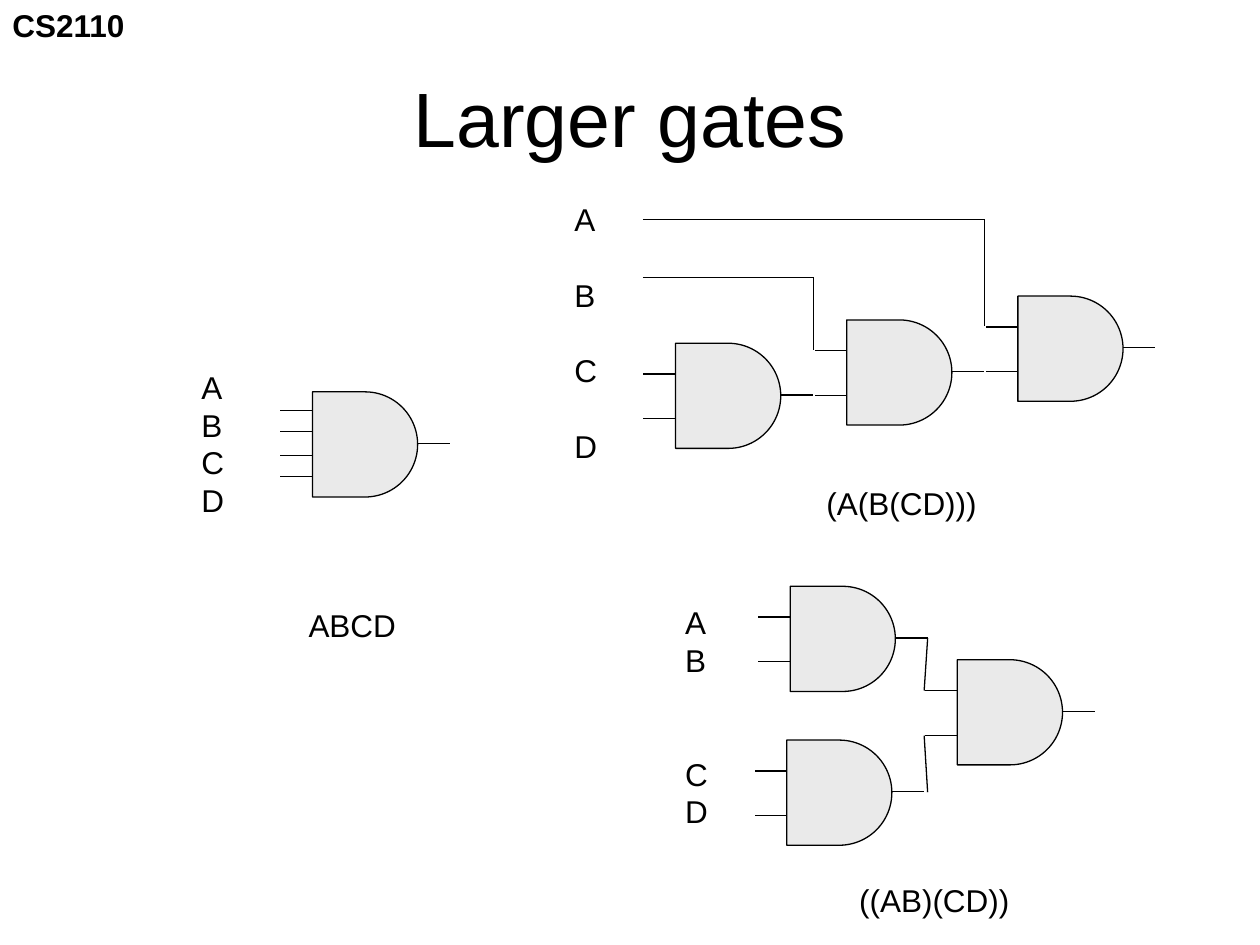
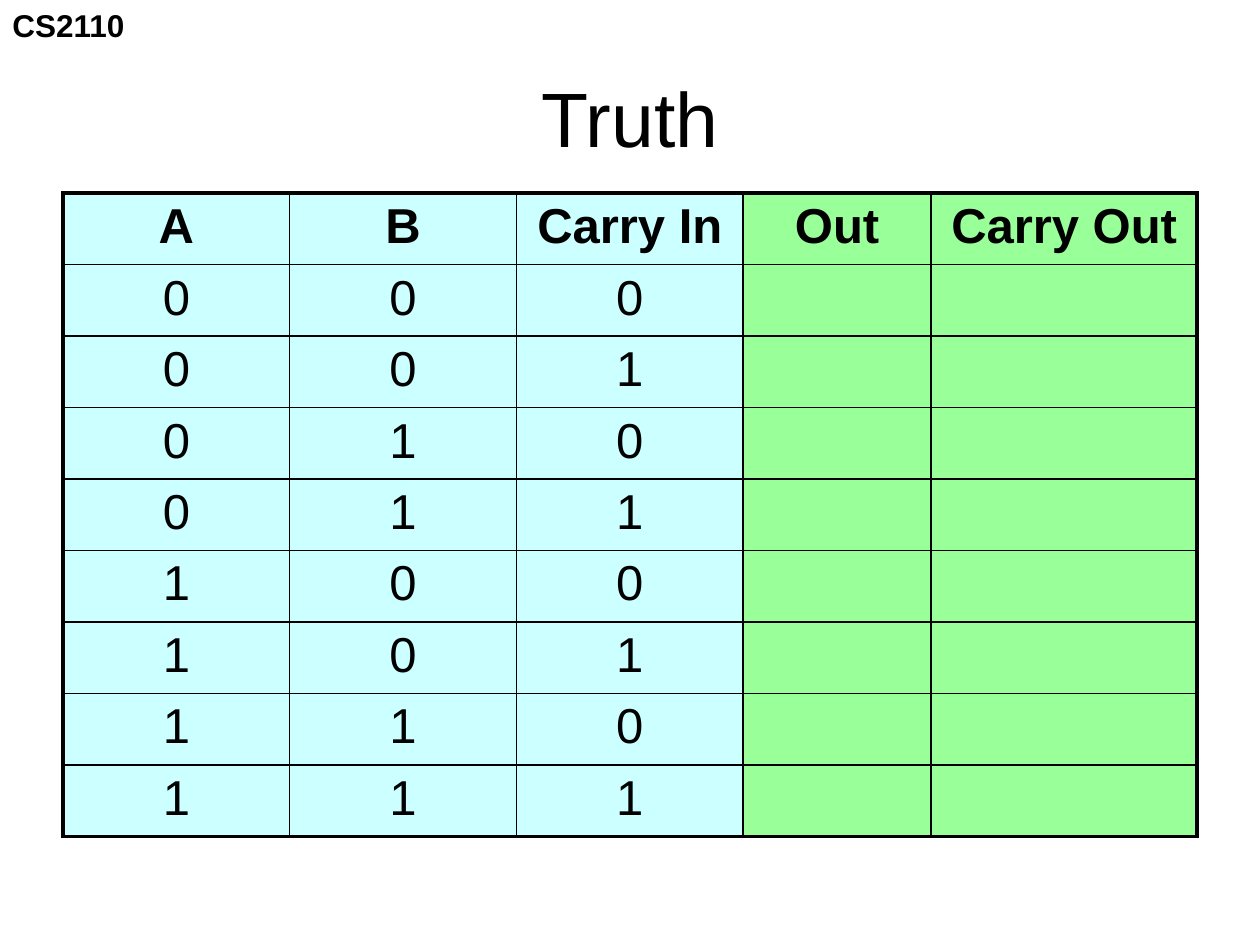
from itertools import pairwise, product

from lxml import etree
from pptx import Presentation
from pptx.dml.color import RGBColor
from pptx.enum import shapes, text
from pptx.oxml import ns
from pptx.util import Cm, Pt

# Shared style
FONT = "Arial"
BLACK = RGBColor(0x00, 0x00, 0x00)
GATE_GRAY = RGBColor(0xEA, 0xEA, 0xEA)
INPUT_CYAN = RGBColor(0xCC, 0xFF, 0xFF)
OUTPUT_GREEN = RGBColor(0x99, 0xFF, 0x99)
LINE_WIDTH = Pt(0.75)

# Gate geometry, in centimetres
GATE_SIZE = 2.12
LEAD = 0.65
OUTPUT_OFFSET = 1.04
TWO_INPUTS = (0.62, 1.52)
FOUR_INPUTS = (0.38, 0.8, 1.28, 1.7)

LINE_PITCH = 21.6


def style_paragraph(paragraph, size, bold=False, align=text.PP_ALIGN.LEFT):
    paragraph.alignment = align
    font = paragraph.font
    font.name, font.size, font.bold = FONT, Pt(size), bold
    font.color.rgb = BLACK


def add_text(slide, left, top, width, height, lines, size=18, bold=False,
             align=text.PP_ALIGN.LEFT, anchor=text.MSO_ANCHOR.TOP, gaps=None):
    """Add one paragraph per line; gaps maps a line index to blank lines before it."""
    box = slide.shapes.add_textbox(Cm(left), Cm(top), Cm(width), Cm(height))
    frame = box.text_frame
    frame.word_wrap = align == text.PP_ALIGN.CENTER
    frame.vertical_anchor = anchor
    frame.text = "\n".join(lines)
    for index, paragraph in enumerate(frame.paragraphs):
        style_paragraph(paragraph, size, bold, align)
        if gaps and index in gaps:
            paragraph.space_before = Pt(gaps[index] * LINE_PITCH)


def add_titled_slide(presentation, title):
    slide = presentation.slides.add_slide(presentation.slide_layouts[6])
    add_text(slide, 0, 0, 2.8, 1.02, ["CS2110"], bold=True)
    add_text(slide, 1.27, 0.76, 22.86, 3.18, [title], size=44,
             align=text.PP_ALIGN.CENTER, anchor=text.MSO_ANCHOR.MIDDLE)
    return slide


def add_wire(container, *points):
    """Join successive points with straight connectors."""
    for start, end in pairwise(points):
        wire = container.shapes.add_connector(
            shapes.MSO_CONNECTOR.STRAIGHT, *map(Cm, (*start, *end)))
        wire.line.color.rgb = BLACK
        wire.line.width = LINE_WIDTH
        etree.SubElement(wire._element.spPr, ns.qn("a:effectLst"))


def add_and_gate(slide, left, top, inputs=TWO_INPUTS):
    gate = slide.shapes.add_group_shape()
    body = gate.shapes.add_shape(shapes.MSO_SHAPE.FLOWCHART_DELAY, Cm(left), Cm(top),
                                 Cm(GATE_SIZE), Cm(GATE_SIZE))
    body.shadow.inherit = False
    body.fill.solid()
    body.fill.fore_color.rgb = GATE_GRAY
    body.line.color.rgb = BLACK
    body.line.width = LINE_WIDTH
    for offset in inputs:
        add_wire(gate, (left, top + offset), (left - LEAD, top + offset))
    right, output = left + GATE_SIZE, top + OUTPUT_OFFSET
    add_wire(gate, (right, output), (right + LEAD, output))


def set_cell_borders(cell, widths):
    properties = cell._tc.get_or_add_tcPr()
    for side, width in zip("LRTB", widths):
        border = etree.SubElement(properties, ns.qn(f"a:ln{side}"), w=str(Pt(width)))
        fill = etree.SubElement(border, ns.qn("a:solidFill"))
        etree.SubElement(fill, ns.qn("a:srgbClr"), val=str(BLACK))


def add_truth_table(slide, headers, input_count, column_widths):
    rows = [headers]
    for bits in product("01", repeat=input_count):
        rows.append([*bits, *[""] * (len(headers) - input_count)])
    row_height = 1.44
    table = slide.shapes.add_table(
        len(rows), len(headers), Cm(1.27), Cm(3.89),
        Cm(sum(column_widths)), Cm(row_height * len(rows))).table
    table.horz_banding = False
    for column, width in zip(table.columns, column_widths):
        column.width = Cm(width)
    last_row, last_column = len(rows) - 1, len(headers) - 1
    for r, values in enumerate(rows):
        table.rows[r].height = Cm(row_height)
        for c, value in enumerate(values):
            cell = table.cell(r, c)
            outer_edges = (c == 0, c == last_column, r == 0, r == last_row)
            set_cell_borders(cell, [2.25 if outer else 1 for outer in outer_edges])
            cell.fill.solid()
            cell.fill.fore_color.rgb = INPUT_CYAN if c < input_count else OUTPUT_GREEN
            cell.text = value
            style_paragraph(cell.text_frame.paragraphs[0], 28, bold=r == 0,
                            align=text.PP_ALIGN.CENTER)


def build_larger_gates(presentation):
    slide = add_titled_slide(presentation, "Larger gates")

    # Single four-input gate
    add_text(slide, 3.81, 7.29, 0.97, 3.33, "ABCD")
    add_and_gate(slide, 6.3, 7.9, FOUR_INPUTS)
    add_text(slide, 5.97, 12.09, 2.29, 1.02, ["ABCD"])

    # Chain of two-input gates
    add_text(slide, 11.33, 3.91, 0.99, 5.64, "ABCD", gaps={1: 1, 2: 1, 3: 1})
    for left, top in ((13.62, 6.92), (17.07, 6.45), (20.52, 5.97)):
        add_and_gate(slide, left, top)
    add_wire(slide, (12.96, 4.42), (19.85, 4.42), (19.85, 6.58))
    add_wire(slide, (12.96, 5.59), (16.4, 5.59), (16.4, 7.06))
    add_text(slide, 16.41, 9.63, 3.58, 1.02, ["(A(B(CD)))"])

    # Tree of two-input gates
    add_text(slide, 13.56, 12.04, 0.97, 4.88, "ABCD", gaps={2: 2})
    for left, top in ((15.93, 11.82), (15.86, 14.92), (19.3, 13.3)):
        add_and_gate(slide, left, top)
    add_wire(slide, (18.63, 13.92), (18.7, 12.87))
    add_wire(slide, (18.63, 14.83), (18.7, 15.97))
    add_text(slide, 17.07, 17.63, 3.58, 1.02, ["((AB)(CD))"])


def build_truth(presentation):
    slide = add_titled_slide(presentation, "Truth")
    add_truth_table(slide, ["A", "B", "Carry In", "Out", "Carry Out"], 3,
                    (4.57, 4.57, 4.57, 3.79, 5.36))


def main():
    presentation = Presentation()
    presentation.slide_width, presentation.slide_height = Cm(25.4), Cm(19.05)
    build_larger_gates(presentation)
    build_truth(presentation)
    presentation.save("out.pptx")


if __name__ == "__main__":
    main()
